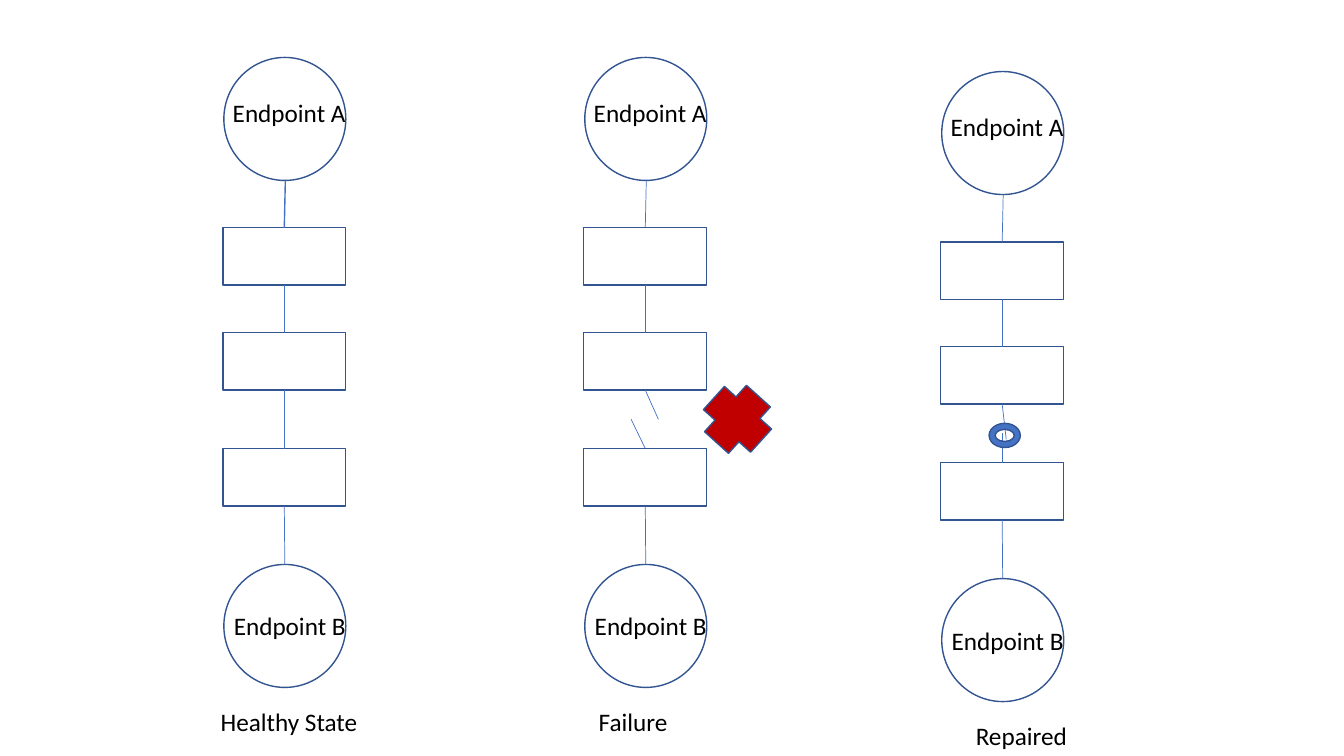
import pptx
import pptx.util
import pptx.dml.color
import pptx.enum.shapes
import pptx.enum.text
import pptx.oxml

Inches = pptx.util.Inches
Pt = pptx.util.Pt
SHAPE = pptx.enum.shapes.MSO_SHAPE
OUTLINE, BLUE, RED, BLACK = "325491", "4472C4", "C00000", "000000"
BOX_W, BOX_H = 1.22, 0.57
CIRCLE_W, CIRCLE_H = 1.21, 1.22
TOP, LEFT, BOTTOM, RIGHT = range(4)


def color(value):
    return pptx.dml.color.RGBColor.from_string(value)


def add_shape(s, kind, x, y, w, h, fill=None):
    sp = s.shapes.add_shape(kind, Inches(x), Inches(y), Inches(w), Inches(h))
    sp.shadow.inherit = False
    if fill:
        sp.fill.solid()
        sp.fill.fore_color.rgb = color(fill)
    else:
        sp.fill.background()
    sp.line.color.rgb = color(OUTLINE)
    sp.line.width = Pt(1)
    return sp


def add_line(s, x1, y1, x2, y2, begin=None, end=None, width=0.5):
    line = s.shapes.add_connector(
        pptx.enum.shapes.MSO_CONNECTOR.STRAIGHT,
        Inches(x1), Inches(y1), Inches(x2), Inches(y2))
    if begin:
        line.begin_connect(begin, BOTTOM)
    if end:
        line.end_connect(end, TOP)
    line.line.color.rgb = color(BLUE)
    line.line.width = Pt(width)
    line._element.spPr.append(pptx.oxml.parse_xml(
        '<a:effectLst xmlns:a='
        '"http://schemas.openxmlformats.org/drawingml/2006/main"/>'))


def add_label(s, text, x, y, w):
    sp = s.shapes.add_textbox(Inches(x), Inches(y), Inches(w), Inches(0.4))
    tf = sp.text_frame
    tf.word_wrap = True
    tf.auto_size = pptx.enum.text.MSO_AUTO_SIZE.SHAPE_TO_FIT_TEXT
    r = tf.paragraphs[0].add_run()
    r.text = text
    for name, value in {"name": "Calibri", "size": Pt(18)}.items():
        setattr(r.font, name, value)
    r.font.color.rgb = color(BLACK)


def add_chain(s, x, y, caption, caption_dx, first_width=0.5, joined=False):
    """Two endpoints linked through three boxes, with a caption below."""
    mid = x + BOX_W / 2
    # Endpoints and boxes
    add_shape(s, SHAPE.OVAL, x + 0.01, y, CIRCLE_W, CIRCLE_H)
    end_b = add_shape(s, SHAPE.OVAL, x + 0.01, y + 5.03, CIRCLE_W, CIRCLE_H)
    boxes = [add_shape(s, SHAPE.RECTANGLE, x, y + dy, BOX_W, BOX_H)
             for dy in (1.69, 2.73, 3.88)]
    # Links, with the one between the last two boxes only where it is whole
    add_line(s, mid + 0.01, y + CIRCLE_H, mid, y + 1.69,
             end=boxes[0], width=first_width)
    links = [(boxes[0], boxes[1]), (boxes[2], end_b)]
    if joined:
        links.append((boxes[1], boxes[2]))
    for upper, lower in links:
        add_line(s, mid, y, mid, y, upper, lower)
    # Labels
    add_label(s, "Endpoint A", x, y + 0.35, 1.45)
    add_label(s, "Endpoint B", x + 0.01, y + 5.44, 1.45)
    add_label(s, caption, x + caption_dx, y + 6.39, 1.64)
    return boxes


def add_healthy(s, x, y):
    add_chain(s, x, y, "Healthy State", -0.12, first_width=1, joined=True)


def add_failure(s, x, y):
    boxes = add_chain(s, x, y, "Failure", 0.05)
    # Broken link and cross
    mid, gap = x + BOX_W / 2, y + 3.59
    add_line(s, mid, y + 3.3, mid + 0.13, gap, begin=boxes[1])
    add_line(s, mid - 0.14, gap, mid, y + 3.88, end=boxes[2])
    cross = add_shape(s, SHAPE.CROSS, x + 1.21, y + 3.28, 0.63, 0.62, RED)
    cross.rotation = 42.1


def add_repaired(s, x, y):
    boxes = add_chain(s, x, y, "Repaired", 0.25)
    # Link mended with a ring
    mid = x + BOX_W / 2
    add_line(s, mid, y + 3.3, mid + 0.04, y + 3.65, begin=boxes[1])
    add_line(s, mid, y + 3.59, mid, y + 3.88, end=boxes[2])
    add_shape(s, SHAPE.DONUT, x + 0.48, y + 3.49, 0.31, 0.24, BLUE)


def main():
    prs = pptx.Presentation()
    prs.slide_width, prs.slide_height = Inches(13.33), Inches(7.5)
    s = prs.slides.add_slide(prs.slide_layouts[6])
    add_healthy(s, 2.21, 0.57)
    add_failure(s, 5.79, 0.57)
    add_repaired(s, 9.33, 0.71)
    prs.save("out.pptx")


if __name__ == "__main__":
    main()
